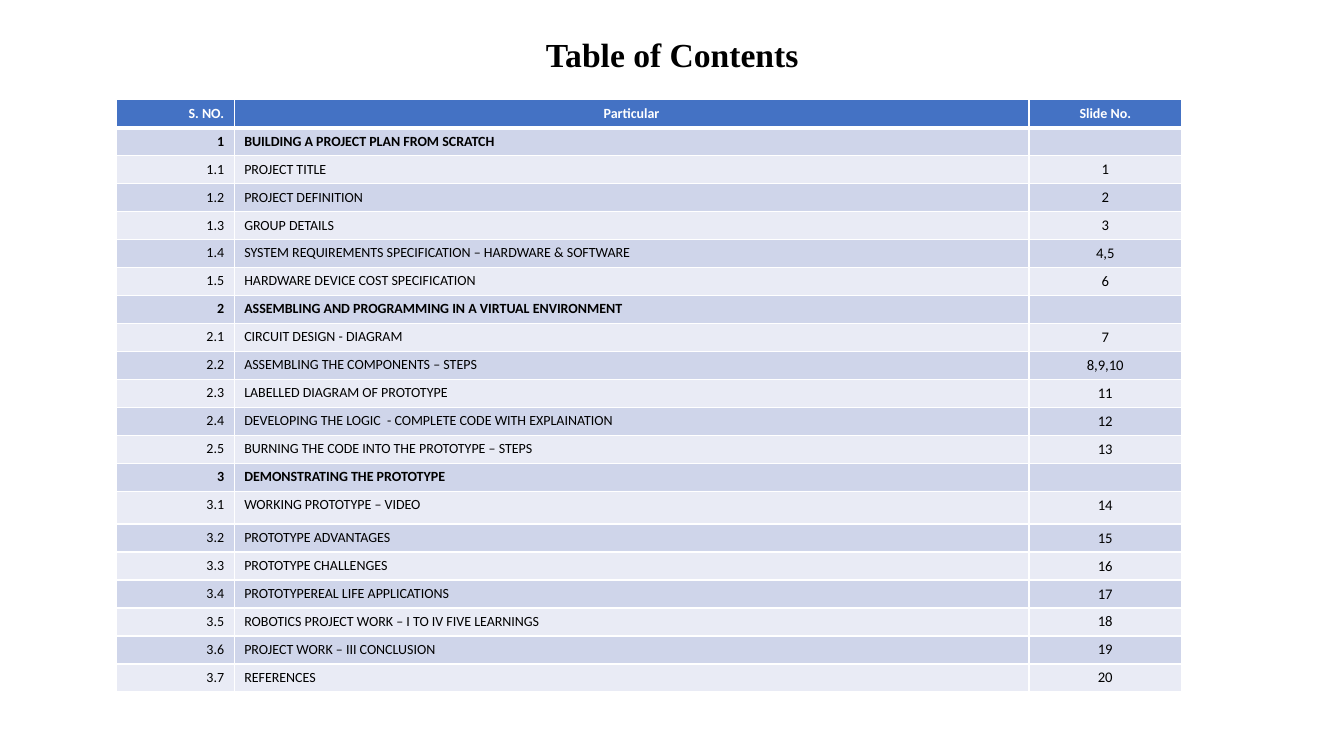
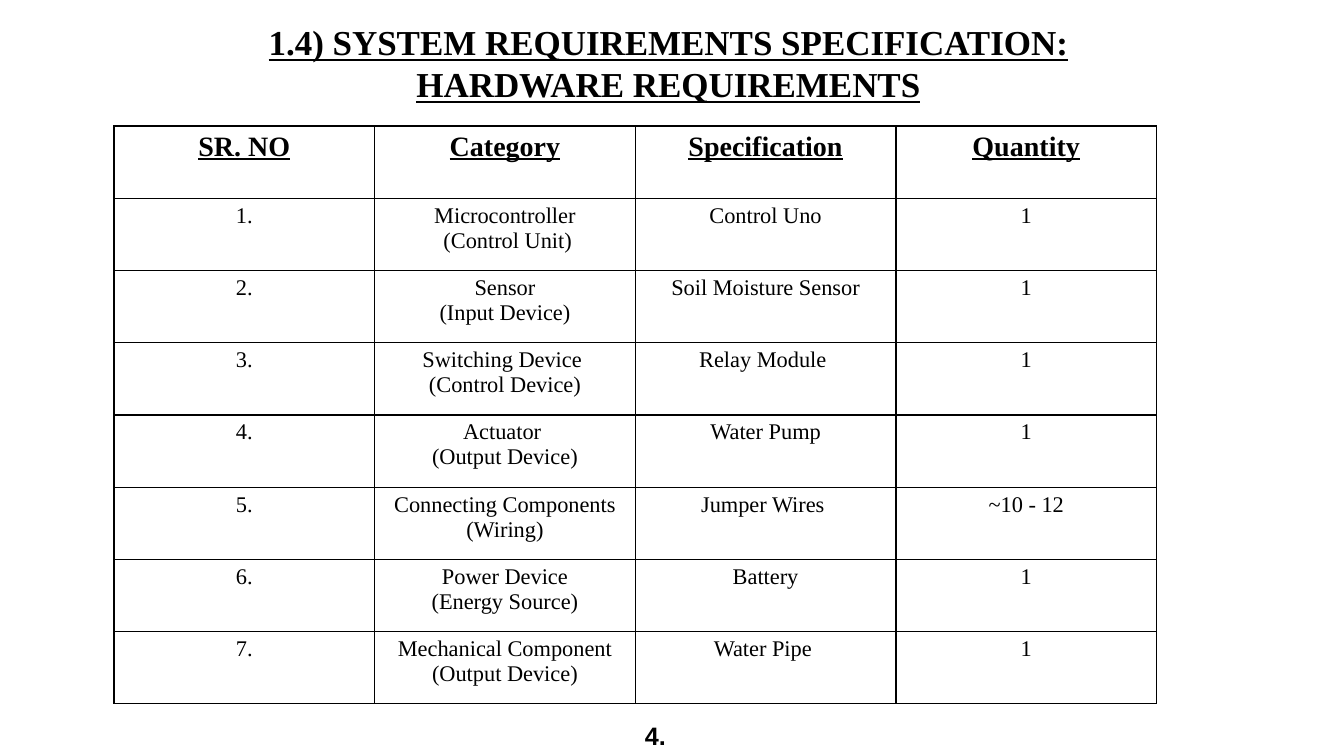
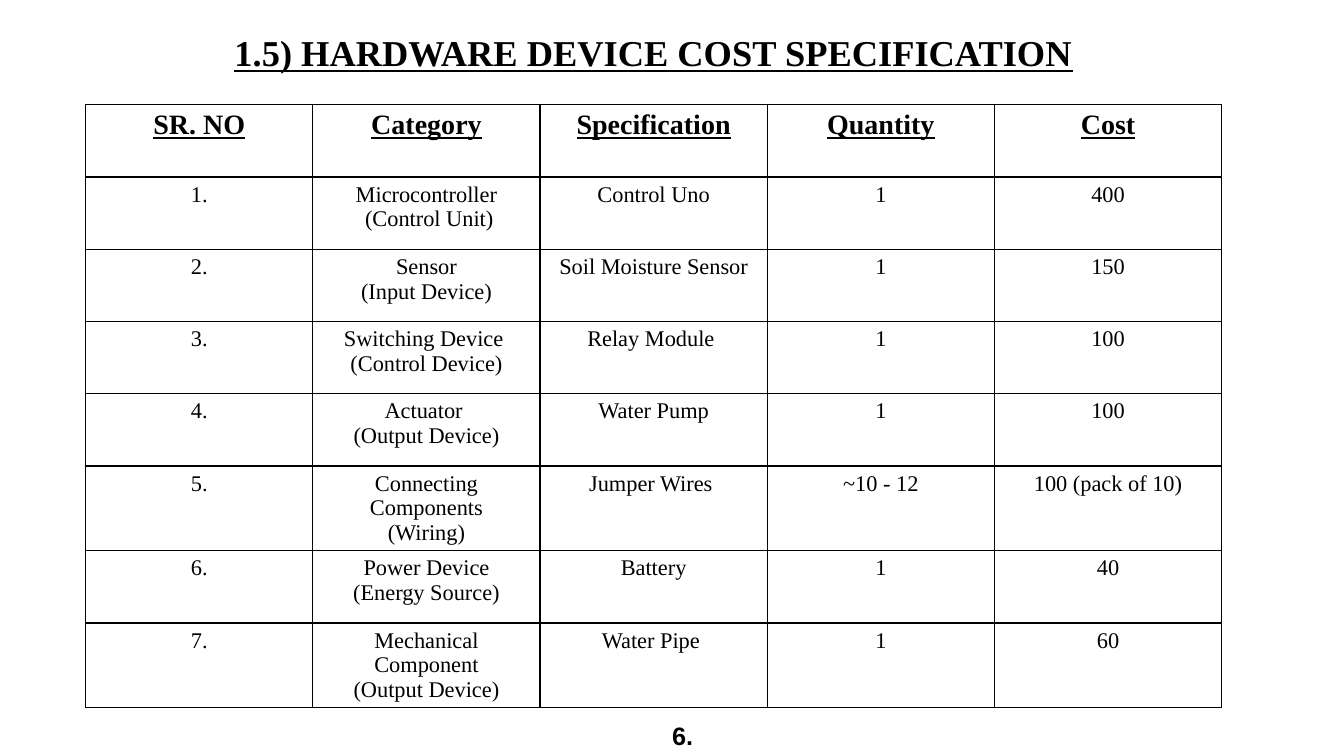
import copy

import pptx
import pptx.dml.color
import pptx.enum.text
import pptx.oxml
import pptx.oxml.ns
import pptx.util

Pt = pptx.util.Pt
ALIGN = pptx.enum.text.PP_ALIGN
AUTO = pptx.enum.text.MSO_AUTO_SIZE
MIDDLE = pptx.enum.text.MSO_ANCHOR.MIDDLE
qn = pptx.oxml.ns.qn

# Content
CONTENTS_HEAD = ("S. NO.", "Particular", "Slide No.")
CONTENTS = [
    ("1", "BUILDING A PROJECT PLAN FROM SCRATCH", ""),
    ("1.1", "PROJECT TITLE", "1"),
    ("1.2", "PROJECT DEFINITION", "2"),
    ("1.3", "GROUP DETAILS", "3"),
    ("1.4", "SYSTEM REQUIREMENTS SPECIFICATION – HARDWARE & SOFTWARE", "4,5"),
    ("1.5", "HARDWARE DEVICE COST SPECIFICATION", "6"),
    ("2", "ASSEMBLING AND PROGRAMMING IN A VIRTUAL ENVIRONMENT", ""),
    ("2.1", "CIRCUIT DESIGN - DIAGRAM", "7"),
    ("2.2", "ASSEMBLING THE COMPONENTS – STEPS", "8,9,10"),
    ("2.3", "LABELLED DIAGRAM OF PROTOTYPE", "11"),
    ("2.4", "DEVELOPING THE LOGIC  - COMPLETE CODE WITH EXPLAINATION", "12"),
    ("2.5", "BURNING THE CODE INTO THE PROTOTYPE – STEPS", "13"),
    ("3", "DEMONSTRATING THE PROTOTYPE", ""),
    ("3.1", "WORKING PROTOTYPE – VIDEO", "14"),
    ("3.2", "PROTOTYPE ADVANTAGES", "15"),
    ("3.3", "PROTOTYPE CHALLENGES", "16"),
    ("3.4", "PROTOTYPEREAL LIFE APPLICATIONS", "17"),
    ("3.5", "ROBOTICS PROJECT WORK – I TO IV FIVE LEARNINGS", "18"),
    ("3.6", "PROJECT WORK – III CONCLUSION", "19"),
    ("3.7", "REFERENCES", "20"),
]

PARTS_HEAD = ("SR. NO", "Category", "Specification", "Quantity", "Cost")
PARTS = [
    ("Microcontroller\n (Control Unit)", "Control Uno", "1", "400"),
    ("Sensor\n(Input Device)", "Soil Moisture Sensor", "1", "150"),
    ("Switching Device \n(Control Device)", "Relay Module ", "1", "100"),
    ("Actuator \n(Output Device)", "Water Pump", "1", "100"),
    ("Connecting Components\n(Wiring)", "Jumper Wires ", "~10 - 12", "100 (pack of 10)"),
    ("Power Device\n(Energy Source)", "Battery", "1", "40"),
    ("Mechanical Component\n(Output Device)", "Water Pipe ", "1", "60"),
]

# One entry per parts slide; boxes are left, top, width, height
PARTS_SLIDES = [
    dict(title="1.4) SYSTEM REQUIREMENTS SPECIFICATION:\vHARDWARE REQUIREMENTS",
         size=25, box=(43.2, 0, 868.3, 90), columns=4, left=81.4, top=90,
         col_width=186.2, page="4.", page_left=453.6),
    dict(title="1.5) HARDWARE DEVICE COST SPECIFICATION",
         size=26, box=(108, 0, 717.8, 74.9), columns=5, left=61.2, top=74.9,
         col_width=162.3, page="6.", page_left=473),
]

# Shared look
COLORS = dict(text="000000", white="FFFFFF", header="4472C4",
              band_dark="CFD5EA", band_light="E9EBF5")
SERIF, SANS, PAGE_FONT = "Times New Roman", "Calibri", "Arial"
PARTS_ROW = 51.6
CONTENTS_ROW, VIDEO_ROW = 20, 23.3


def format_runs(p, color="text", size=18, **values):
    values["size"] = Pt(size)
    for r in p.runs:
        for key, value in values.items():
            setattr(r.font, key, value)
        r.font.color.rgb = pptx.dml.color.RGBColor.from_string(COLORS[color])
    # Line breaks and empty cells need the text size too
    for br in p._p.findall(qn("a:br")):
        br.append(copy.deepcopy(p.runs[0]._r.rPr))
    if not p.runs:
        p._p.get_or_add_endParaRPr().set("sz", str(int(size * 100)))


def add_slide(prs, title, box, size, underline=False, margin=None, spacing=None):
    s = prs.slides.add_slide(prs.slide_layouts[5])
    sp = s.shapes.title
    sp.left, sp.top, sp.width, sp.height = map(Pt, box)
    tf = sp.text_frame
    tf.word_wrap, tf.auto_size, tf.vertical_anchor = True, AUTO.NONE, MIDDLE
    if margin is not None:
        for side in ("left", "top", "right", "bottom"):
            setattr(tf, "margin_" + side, Pt(margin))
    p = tf.paragraphs[0]
    p.text, p.alignment = title, ALIGN.CENTER
    p.line_spacing = spacing
    format_runs(p, size=size, name=SERIF, bold=True, underline=underline)
    return s


def add_table(s, left, top, widths, heights):
    table = s.shapes.add_table(len(heights), len(widths), Pt(left), Pt(top),
                               Pt(sum(widths)), Pt(sum(heights))).table
    table.first_row = table.horz_banding = False
    for column, width in zip(table.columns, widths):
        column.width = Pt(width)
    for row, height in zip(table.rows, heights):
        row.height = Pt(height)
    return table


def fill_cell(cell, text, align, border, fill=None, edges=(1, 1, 1, 1), **font):
    tcPr = cell._tc.get_or_add_tcPr()
    for side, width in zip("LRTB", edges):
        tcPr.append(pptx.oxml.parse_xml(
            f'<a:ln{side} xmlns:a="http://schemas.openxmlformats.org/drawingml/2006/main"'
            f' w="{Pt(width)}"><a:solidFill><a:srgbClr val="{COLORS[border]}"/>'
            f'</a:solidFill></a:ln{side}>'))
    if fill:
        cell.fill.solid()
        cell.fill.fore_color.rgb = pptx.dml.color.RGBColor.from_string(COLORS[fill])
    else:
        cell.fill.background()
    cell.text_frame.text = text
    for p in cell.text_frame.paragraphs:
        p.alignment = align
        format_runs(p, **font)


def add_contents_slide(prs):
    s = add_slide(prs, "Table of Contents", (66.2, 11.5, 828, 58.3), 24, spacing=0.9)
    heights = [CONTENTS_ROW] + [VIDEO_ROW if number == "3.1" else CONTENTS_ROW
                                for number, _, _ in CONTENTS]
    table = add_table(s, 83, 71.3, (84.3, 567.7, 109), heights)
    for i, row in enumerate([CONTENTS_HEAD] + CONTENTS):
        head = i == 0
        section = not row[2]
        fill = "header" if head else "band_dark" if i % 2 else "band_light"
        for j, text in enumerate(row):
            align = (ALIGN.RIGHT, ALIGN.CENTER if head else ALIGN.LEFT, ALIGN.CENTER)[j]
            fill_cell(table.cell(i, j), text, align, "white", fill,
                      edges=(1, 1, 3 if i == 1 else 1, 3 if head else 1),
                      size=10.5 if j == 2 and not head and not section else 10,
                      name=SANS, bold=head or section,
                      color="white" if head else "text")


def add_parts_slide(prs, title, size, box, columns, left, top, col_width, page, page_left):
    s = add_slide(prs, title, box, size, underline=True, margin=0)
    rows = [PARTS_HEAD] + [(f"{n}.",) + part for n, part in enumerate(PARTS, 1)]
    table = add_table(s, left, top, [col_width] * columns, [PARTS_ROW] * len(rows))
    for i, row in enumerate(rows):
        head = i == 0
        for j, text in enumerate(row[:columns]):
            fill_cell(table.cell(i, j), text, ALIGN.CENTER, "text", name=SERIF,
                      size=20 if head else 16, bold=head, underline=head)
    # Page number
    tf = s.shapes.add_textbox(Pt(page_left), Pt(511.2), Pt(43.2), Pt(29)).text_frame
    tf.word_wrap, tf.auto_size = True, AUTO.SHAPE_TO_FIT_TEXT
    tf.text = page
    format_runs(tf.paragraphs[0], size=18, name=PAGE_FONT, bold=True)


def main():
    prs = pptx.Presentation()
    prs.slide_width, prs.slide_height = Pt(960), Pt(540)
    add_contents_slide(prs)
    for parts_slide in PARTS_SLIDES:
        add_parts_slide(prs, **parts_slide)
    prs.save("out.pptx")


if __name__ == "__main__":
    main()
